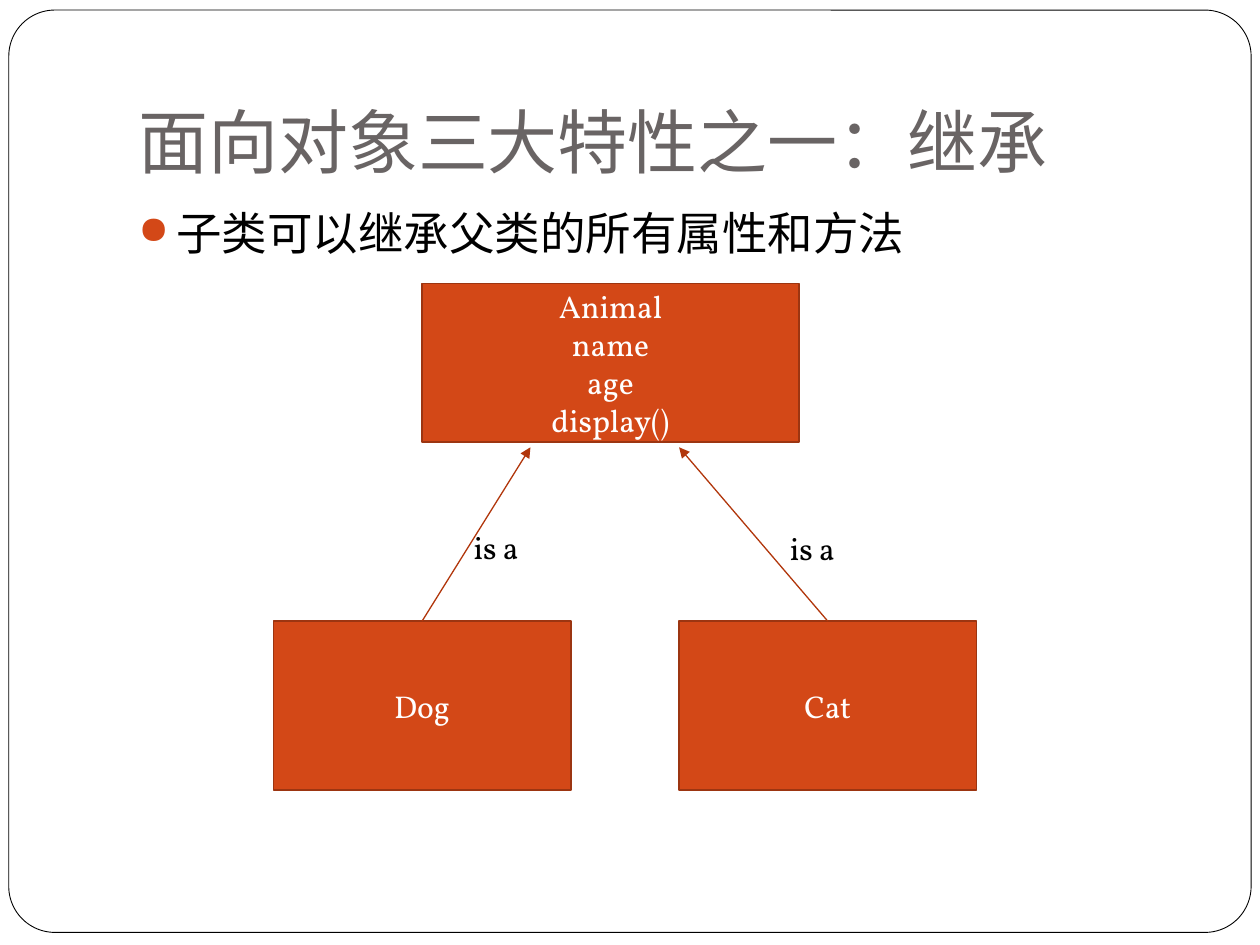
from dataclasses import dataclass

from lxml import etree
from pptx import Presentation
from pptx import util as u
from pptx.dml.color import RGBColor
from pptx.enum import shapes, text
from pptx.oxml.ns import qn

WHITE = RGBColor(0xFF, 0xFF, 0xFF)
BLACK = RGBColor(0x00, 0x00, 0x00)
GRAY = RGBColor(0x69, 0x64, 0x64)
ORANGE = RGBColor(0xD3, 0x48, 0x17)
BORDER = RGBColor(0x9C, 0x35, 0x11)
ARROW = RGBColor(0xB1, 0x36, 0x0B)
HEADING_FONT, BODY_FONT = "Karla", "Vollkorn"


@dataclass(frozen=True)
class Area:
    left: float
    top: float
    width: float
    height: float

    def lengths(self) -> tuple:
        return tuple(u.Inches(n) for n in (self.left, self.top, self.width, self.height))


@dataclass(frozen=True)
class ClassBox:
    area: Area
    lines: tuple


@dataclass(frozen=True)
class Inheritance:
    child: ClassBox
    arrow_x: float
    label: Area


def write(shape, lines, *, size=18, font=BODY_FONT, color=BLACK,
          align=text.PP_ALIGN.LEFT, anchor=text.MSO_ANCHOR.TOP):
    """Fill a shape with one paragraph per line and return its text frame."""
    frame = shape.text_frame
    frame.word_wrap = True
    frame.vertical_anchor = anchor
    for index, line in enumerate(lines):
        para = frame.paragraphs[0] if index == 0 else frame.add_paragraph()
        para.alignment = align
        span = para.add_run()
        span.text = line
        span.font.size = u.Pt(size)
        span.font.name = font
        span.font.color.rgb = color
        for tag in ("a:ea", "a:cs"):
            etree.SubElement(span.font._element, qn(tag), typeface=font)
    return frame


def add_box(page, kind, area: Area, fill: RGBColor, line: RGBColor, width: float):
    box = page.shapes.add_shape(kind, *area.lengths())
    box.shadow.inherit = False
    box.fill.solid()
    box.fill.fore_color.rgb = fill
    box.line.color.rgb = line
    box.line.width = u.Pt(width)
    return box


def add_text(page, area: Area, line: str, **style):
    return write(page.shapes.add_textbox(*area.lengths()), [line], **style)


def add_class(page, item: ClassBox) -> None:
    box = add_box(page, shapes.MSO_SHAPE.RECTANGLE, item.area, ORANGE, BORDER, 1)
    write(box, item.lines, color=WHITE, align=text.PP_ALIGN.CENTER,
          anchor=text.MSO_ANCHOR.MIDDLE)


def add_arrow(page, start: tuple, end: tuple) -> None:
    arrow = page.shapes.add_connector(
        shapes.MSO_CONNECTOR.STRAIGHT, *(u.Inches(n) for n in start + end))
    arrow.line.color.rgb = ARROW
    arrow.line.width = u.Pt(0.75)
    etree.SubElement(arrow.line._get_or_add_ln(), qn("a:tailEnd"), type="triangle")
    etree.SubElement(arrow._element.spPr, qn("a:effectLst"))


def add_bullet(para, indent: float) -> None:
    props = para._p.get_or_add_pPr()
    props.set("marL", str(u.Inches(indent)))
    props.set("indent", str(-u.Inches(indent)))
    color = etree.SubElement(props, qn("a:buClr"))
    etree.SubElement(color, qn("a:srgbClr"), val=str(ORANGE))
    etree.SubElement(props, qn("a:buSzPct"), val="85000")
    etree.SubElement(props, qn("a:buChar"), char="●")


deck = Presentation()
deck.slide_width, deck.slide_height = u.Inches(10), u.Inches(7.5)
page = deck.slides.add_slide(deck.slide_layouts[6])

# Rounded page frame
border = add_box(page, shapes.MSO_SHAPE.ROUNDED_RECTANGLE,
                 Area(0.07, 0.08, 9.86, 7.32), WHITE, BLACK, 0.5)
border.adjustments[0] = 0.05

# Title and bullet
title = add_text(page, Area(1, 0.3, 8.5, 1.25), "面向对象三大特性之一：继承",
                 size=40, font=HEADING_FONT, color=GRAY, anchor=text.MSO_ANCHOR.BOTTOM)
title.margin_bottom = u.Inches(0.1)
body = add_text(page, Area(1, 1.58, 8.5, 5), "子类可以继承父类的所有属性和方法", size=26)
body.paragraphs[0].space_before = u.Pt(5.8)
add_bullet(body.paragraphs[0], 0.3)

# Class diagram
CHILD_TOP, CHILD_WIDTH, CHILD_HEIGHT = 4.93, 2.36, 1.34
ARROW_TOP = 3.55
parent = ClassBox(Area(3.35, 2.25, 2.99, 1.26), ("Animal", "name", "age", "display()"))
links = [
    Inheritance(ClassBox(Area(left, CHILD_TOP, CHILD_WIDTH, CHILD_HEIGHT), (name,)),
                arrow_x, Area(label_left, label_top, 0.79, 0.4))
    for name, left, arrow_x, label_left, label_top in (
        ("Dog", 2.17, 4.21, 3.66, 4.14),
        ("Cat", 5.39, 5.39, 6.17, 4.15),
    )
]
add_class(page, parent)
for link in links:
    add_class(page, link.child)
    center = link.child.area.left + CHILD_WIDTH / 2
    add_arrow(page, (center, CHILD_TOP), (link.arrow_x, ARROW_TOP))
    add_text(page, link.label, "is a")

deck.save("out.pptx")
